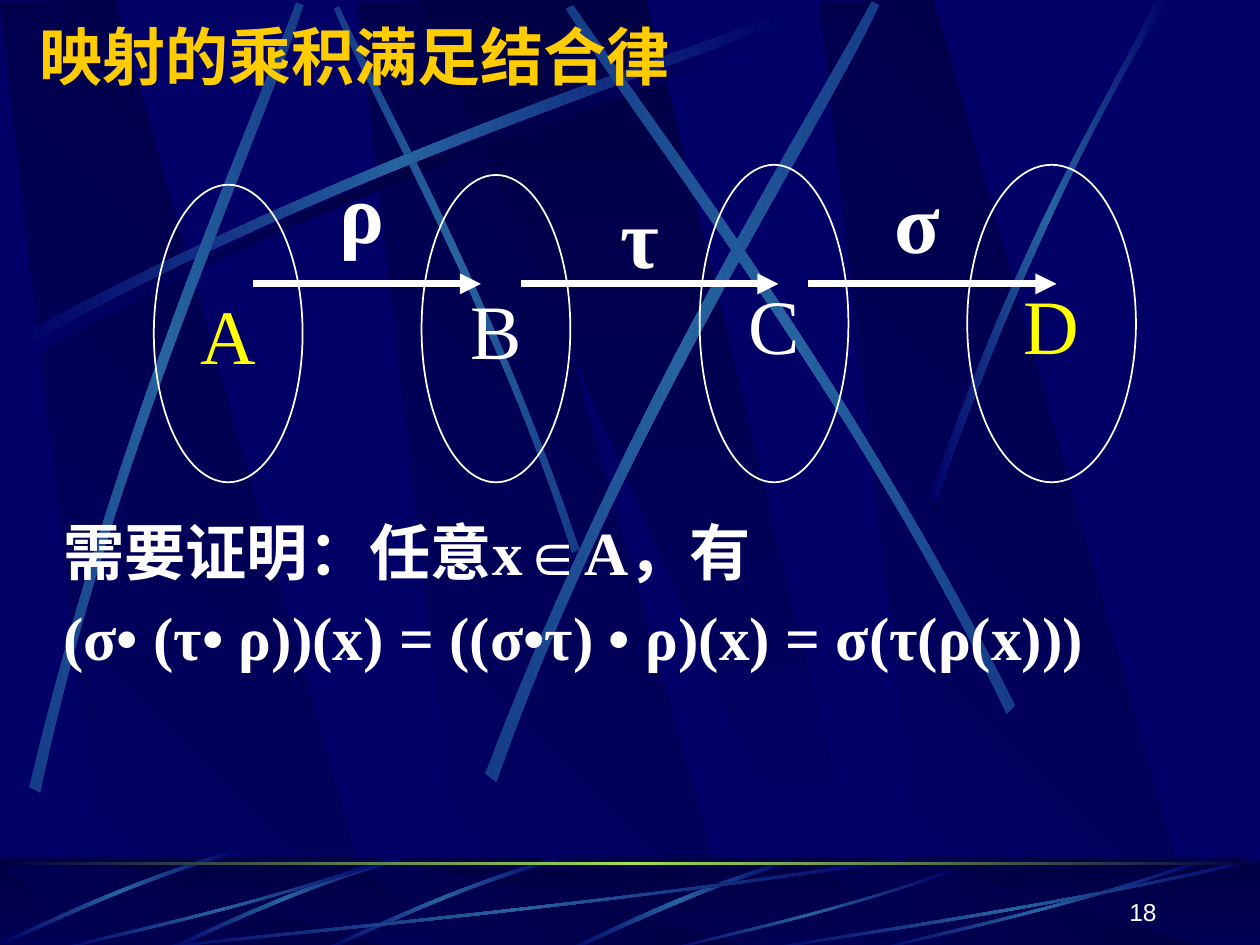
from lxml import etree
from pptx import Presentation
from pptx.dml.color import RGBColor
from pptx.enum import shapes, text
from pptx.oxml.ns import qn
from pptx.util import Pt

# Content (lengths in points)
NAVY, DARK, BLUE, SOFT, WHITE, YELLOW = "000066", "000044", "2663A0", "153C88", "FFFFFF", "FFFF00"
SERIF = "Times New Roman"
TITLE = "映射的乘积满足结合律"
PROOF = ["需要证明：任意x∈A，有", "(σ• (τ• ρ))(x) = ((σ•τ) • ρ)(x) = σ(τ(ρ(x)))"]
SETS = [  # name, left, top, width, colour
    ("A", 87.9, 105.6, 85, YELLOW),
    ("B", 240.9, 100, 85, WHITE),
    ("C", 399.8, 94.2, 85, WHITE),
    ("D", 552.7, 94.2, 96.4, YELLOW),
]
SET_BOTTOM, ARROW_Y = 275.6, 162.2
MAPS = [  # name, label box, arrow start and end
    ("ρ", (184.3, 94.3, 45.4, 51.1), 144.6, 274.8),
    ("τ", (331.5, 111.6, 68.4, 45.4), 297.7, 444.8),
    ("σ", (489.9, 94.3, 68.4, 62.6), 461.9, 603.7),
]

# Backdrop: bands as corners, strands as two cubic edges
BAND = [(62, 540), (217.5, 540), (65.5, 0), (0, 1)]
BAND_LEFTS = [204, 0, 468]
WEDGE = [(240, 0), (473.8, 540), (499.7, 540), (369.4, 0)]
FLOOR_TOP = 495
ARC = [(10, 192.2), (200.2, 90), (373, 36.7), (446.4, 7.2),
       (448.6, 11.5), (375.8, 43.9), (178.6, 103), (12.2, 199.4)]
SLANTS = [
    [(331.2, 313.9), (281.5, 168.5), (217.4, 55.4), (193.7, 3.6),
     (190.8, 5), (212.4, 56.9), (286.6, 185.8), (326.9, 316.1)],
    [(16.6, 450), (67, 240.5), (141.8, 75.6), (169.2, 1.4),
     (173.5, 2.9), (149, 78.5), (61.9, 265), (23, 452.9)],
    [(277.2, 442.1), (358.6, 230.4), (459.4, 73.4), (498.2, 0.7),
     (502.6, 2.9), (467.3, 77.8), (349.9, 255.6), (283.7, 447.1)],
    [(580.3, 403.2), (482.4, 211), (371.5, 68.4), (327.6, 2.9),
     (323.3, 5), (365, 72.7), (493.2, 234), (575.3, 408.2)],
]
RIGHT_STRAND = [(531.4, 283.7), (586.1, 124.6), (639.4, 47.5), (660.2, 0),
                (667.4, 0), (601.9, 104.4), (553.7, 231.8), (535.7, 285.8)]
FLOOR_ARC = [(451.4, 491), (386.6, 510.5), (343.4, 534.2), (322.6, 542.9),
             (326.2, 543.6), (352.8, 531.4), (411.1, 504), (452.2, 493.2)]
FLOOR_CURL = [(318.2, 489.6), (255.6, 507.6), (206.6, 532.8), (184.3, 542.2),
              (185, 543.6), (207.4, 535), (262.8, 506.2), (319.7, 491.8)]
CURL_SHIFTS = [(0, 0), (-90, 0), (-184, -4)]
SWEEP = [(1, .04), (.57, .57), (.17, .85), (.01, 1),
         (0, .99), (.17, .81), (.62, .51), (1, 0)]  # fractions of its box
SWEEP_BOXES = [(72, 489.6, 444, 54), (30, 489.6, 192, 54), (379.4, 496, 166, 47.5),
               (498, 489.6, 192, 54), (432, 489.6, 288, 54)]


def rgb(value):
    return RGBColor.from_string(value)


def gradient(shape, colours, angle=0):
    """Evenly spaced linear gradient, angle clockwise in degrees."""
    shape.fill.gradient()
    grad = shape.element.spPr.find(qn("a:gradFill"))
    stops = grad.find(qn("a:gsLst"))
    for stop in list(stops):
        stops.remove(stop)
    for i, colour in enumerate(colours):
        stop = etree.SubElement(stops, qn("a:gs"), pos=str(100000 * i // (len(colours) - 1)))
        etree.SubElement(stop, qn("a:srgbClr"), val=colour)
    grad.find(qn("a:lin")).set("ang", str(angle * 60000))


def plain(shape):
    shape.shadow.inherit = False
    shape.line.fill.background()
    return shape


def outline(s, points, colours, angle=0):
    pts = [(Pt(x), Pt(y)) for x, y in points]
    builder = s.shapes.build_freeform(*pts[0])
    builder.add_line_segments(pts[1:], close=True)
    shape = plain(builder.convert_to_shape())
    gradient(shape, colours, angle)
    return shape


def strand(s, points, ends=NAVY, middle=BLUE):
    """Outline whose two long edges are cubic curves."""
    shape = outline(s, points, (ends, middle, ends))
    segments = shape.element.findall(".//" + qn("a:lnTo"))
    for edge in (segments[:3], segments[4:7]):
        cubic = etree.Element(qn("a:cubicBezTo"))
        edge[0].addprevious(cubic)
        for segment in edge:
            cubic.append(segment[0])
            segment.getparent().remove(segment)


def shift(points, dx, dy=0):
    return [(x + dx, y + dy) for x, y in points]


def to_floor(points):
    return [(x, 540 if y > 270 else FLOOR_TOP) for x, y in points]


def rect(s, *box):
    return plain(s.shapes.add_shape(shapes.MSO_SHAPE.RECTANGLE, *map(Pt, box)))


def bands(s, fit):
    for left in BAND_LEFTS:
        outline(s, fit(shift(BAND, left)), (NAVY, DARK), 315)
    outline(s, fit(WEDGE), (DARK, NAVY), 90)


def backdrop(s):
    # Upper part
    bands(s, list)
    strand(s, shift(ARC, 4.3, 5.8), middle=DARK)
    strand(s, SLANTS[0], ends=SOFT)
    strand(s, ARC)
    for points in SLANTS[1:]:
        strand(s, points, ends=SOFT)
    strand(s, RIGHT_STRAND)
    # Floor
    gradient(rect(s, 0, 489.6, 720, 50.4), (DARK, NAVY), 90)
    bands(s, to_floor)
    veil = rect(s, 0, 489.6, 720, 50.4)
    veil.fill.solid()
    veil.fill.fore_color.rgb = rgb(DARK)
    etree.SubElement(veil.element.spPr.find(".//" + qn("a:srgbClr")), qn("a:alpha"), val="50000")
    strand(s, FLOOR_ARC)
    for dx, dy in CURL_SHIFTS:
        strand(s, shift(FLOOR_CURL, dx, dy))
    for left, top, width, height in SWEEP_BOXES:
        strand(s, [(left + u * width, top + v * height) for u, v in SWEEP])
    gradient(rect(s, 0, 492.4, 720, 1.8), (DARK, "9CE157", DARK))


def move_to_master(s, master):
    """Put the shapes drawn so far behind the master's placeholders."""
    tree = master.shapes.element
    drawn = [shape for shape in s.shapes if not shape.is_placeholder]
    for i, shape in enumerate(drawn):
        shape.element.nvSpPr.cNvPr.set("id", str(100 + i))
        tree.insert(2 + i, shape.element)


def write(shape, *lines, size, colour=WHITE, font=SERIF, bold=False, wrap=False, before=0,
          align=text.PP_ALIGN.CENTER, anchor=text.MSO_ANCHOR.MIDDLE):
    tf = shape.text_frame
    tf.word_wrap, tf.vertical_anchor = wrap, anchor
    tf.auto_size = text.MSO_AUTO_SIZE.NONE
    for i, line in enumerate(lines):
        p = tf.add_paragraph() if i else tf.paragraphs[0]
        p.alignment = align
        p.space_before = Pt(before if i else 0)
        r = p.add_run()
        r.text = line
        r.font.size, r.font.name, r.font.bold = Pt(size), font, bold
        r.font.color.rgb = rgb(colour)


def textbox(s, box, *lines, **fmt):
    shape = s.shapes.add_textbox(*map(Pt, box))
    write(shape, *lines, **fmt)
    return shape


def arrow(s, x1, x2, y):
    line = s.shapes.add_connector(shapes.MSO_CONNECTOR.STRAIGHT, Pt(x1), Pt(y), Pt(x2), Pt(y))
    line.line.color.rgb, line.line.width = rgb(WHITE), Pt(4)
    spPr = line.element.spPr
    etree.SubElement(spPr.find(qn("a:ln")), qn("a:tailEnd"), type="triangle")
    etree.SubElement(spPr, qn("a:effectLst"))


prs = Presentation()
prs.slide_width, prs.slide_height = Pt(720), Pt(540)
s = prs.slides.add_slide(prs.slide_layouts[5])
s.background.fill.solid()
s.background.fill.fore_color.rgb = rgb(NAVY)
backdrop(s)
move_to_master(s, prs.slide_master)

# Statement; its top inset leaves room for the diagram
proof = textbox(s, (0, 88.6, 696, 391.7), *PROOF, size=35, bold=True, wrap=True, before=7,
                align=text.PP_ALIGN.LEFT, anchor=text.MSO_ANCHOR.TOP)
proof.text_frame.margin_left, proof.text_frame.margin_top = Pt(36), Pt(205)

# Sets and the maps between them
for name, left, top, width, colour in SETS:
    oval = s.shapes.add_shape(shapes.MSO_SHAPE.OVAL, Pt(left), Pt(top), Pt(width), Pt(SET_BOTTOM - top))
    oval.shadow.inherit = False
    oval.fill.background()
    oval.line.color.rgb, oval.line.width = rgb(WHITE), Pt(1)
    write(oval, name, size=44, colour=colour)
for name, box, start, end in MAPS:
    arrow(s, start, end, ARROW_Y)
    textbox(s, box, name, size=48, bold=True)

# Slide number and title
textbox(s, (518.2, 496.8, 149.8, 36), "18", size=14, font="Arial", wrap=True,
        align=text.PP_ALIGN.RIGHT, anchor=text.MSO_ANCHOR.BOTTOM)
title = s.shapes.title
title.left, title.top, title.width, title.height = map(Pt, (15.1, 6, 709, 51.1))
write(title, TITLE, size=36, colour="FFCC00", bold=True, wrap=True, align=text.PP_ALIGN.LEFT)

prs.save("out.pptx")
